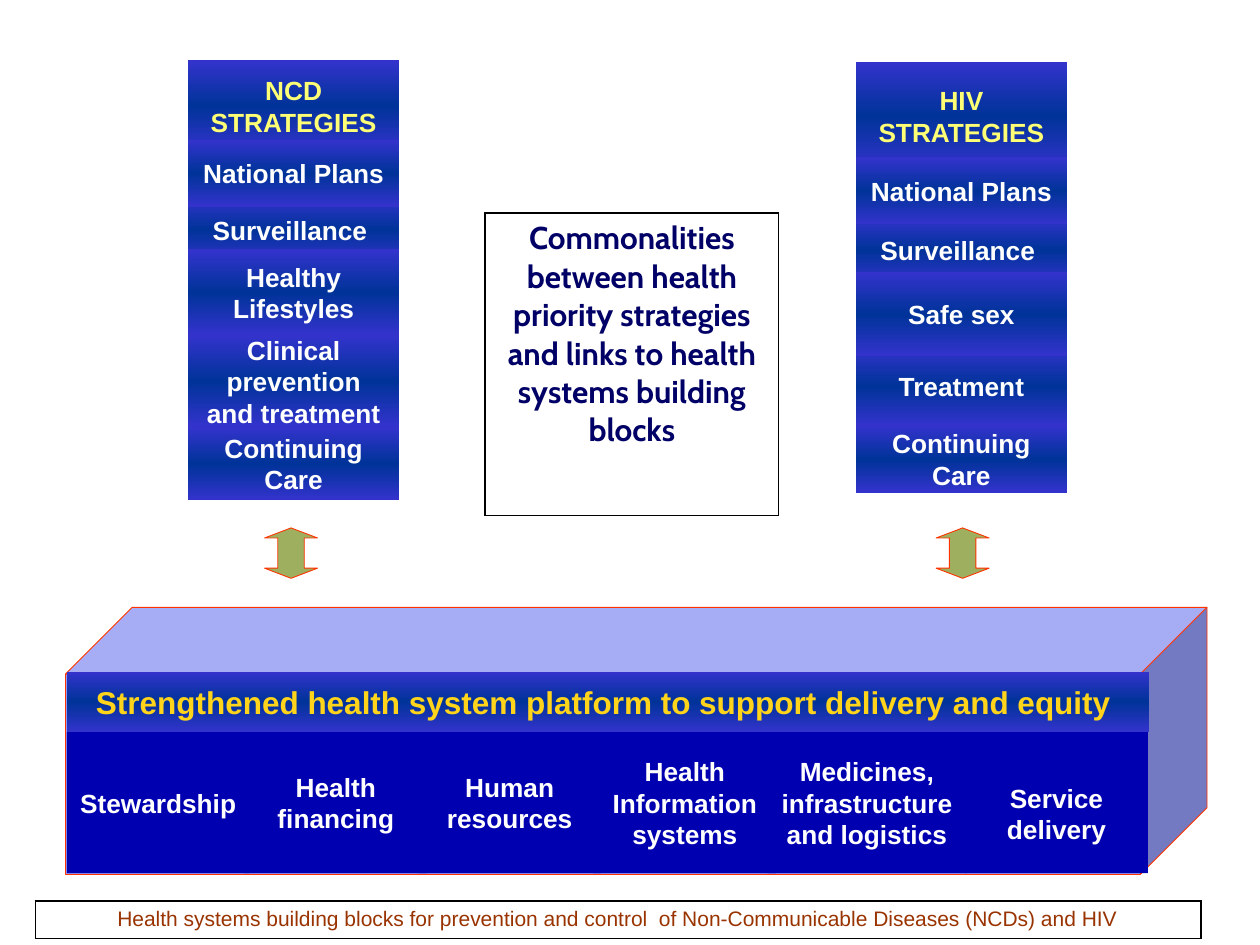
from copy import deepcopy

from lxml import etree
from pptx import Presentation
from pptx.dml.color import RGBColor
from pptx.enum.shapes import MSO_SHAPE
from pptx.enum.text import MSO_ANCHOR, PP_ALIGN
from pptx.oxml.ns import qn
from pptx.util import Inches, Pt

RECT, CUBE, ARROW = MSO_SHAPE.RECTANGLE, MSO_SHAPE.CUBE, MSO_SHAPE.UP_DOWN_ARROW
MIDDLE, CENTER = MSO_ANCHOR.MIDDLE, PP_ALIGN.CENTER

COLORS = {
    "edge": "3333CC", "core": "003399", "block": "0000B0", "cube": "9299F2",
    "arrow": "9EB060", "line": "FF3300", "white": "FFFFFF", "head": "FFFF75",
    "gold": "FFD41B", "navy": "000066", "brown": "993300", "black": "000000",
}

NCD = [
    ("Surveillance ", 1.56, 0.53),
    ("NCD STRATEGIES", 0.48, 0.72),
    ("Clinical prevention and treatment", 2.66, 0.73),
    ("Healthy Lifestyles", 1.98, 0.68),
    ("Continuing Care", 3.39, 0.58),
    ("National Plans ", 1.11, 0.53),
]
HIV = [
    ("Surveillance ", 1.72, 0.53),
    ("HIV STRATEGIES", 0.49, 0.86),
    ("Treatment", 2.75, 0.63),
    ("Safe sex", 2.16, 0.67),
    ("Continuing Care", 3.38, 0.53),
    ("National Plans ", 1.25, 0.53),
]
BLOCKS = [
    ("Stewardship", 0.53, 1.45, 0.05),
    ("Health financing", 1.94, 1.45, 0.05),
    ("Human resources", 3.32, 1.45, 0.05),
    ("Medicines, infrastructure and logistics", 6.09, 1.58, 0.05),
    ("Health Information systems", 4.71, 1.45, 0.05),
    ("Service delivery", 7.66, 1.45, 0.22),
]


def rgb(name):
    return RGBColor.from_string(COLORS[name])


def write(frame, text, size=15, color="white", bold=True, face="Arial"):
    frame.word_wrap = True
    para = frame.paragraphs[0]
    para.alignment = CENTER
    run = para.add_run()
    run.text = text
    font = run.font
    font.name, font.size, font.bold = face, Pt(size), bold
    font.color.rgb = rgb(color)


class Page:
    def __init__(self, slide):
        self.slide = slide

    def shape(self, kind, left, top, width, height, fill=None, line=None):
        shape = self.slide.shapes.add_shape(
            kind, Inches(left), Inches(top), Inches(width), Inches(height))
        shape.shadow.inherit = False
        if fill:
            shape.fill.solid()
            shape.fill.fore_color.rgb = rgb(fill)
        else:
            self.blend(shape)
        if line:
            shape.line.color.rgb = rgb(line)
            shape.line.width = Pt(0.5)
        else:
            shape.line.fill.background()
        return shape

    def blend(self, shape):
        shape.fill.gradient()
        shape.fill.gradient_angle = 270
        for stop, name, place in zip(
                shape.fill.gradient_stops, ("edge", "core"), (0, 0.5)):
            stop.color.rgb = rgb(name)
            stop.position = place
        stops = shape._element.spPr.find(".//" + qn("a:gsLst"))
        last = deepcopy(stops[0])
        last.set("pos", "100000")
        stops.append(last)

    def box(self, text, left, top, width, height, fill=None, inset=0.05, **style):
        frame = self.shape(RECT, left, top, width, height, fill).text_frame
        frame.vertical_anchor = MIDDLE
        frame.margin_top = Inches(inset)
        write(frame, text, **style)

    def stack(self, left, items):
        for text, top, height in items:
            color = "head" if text.endswith("STRATEGIES") else "white"
            self.box(text, left, top, 1.68, height, color=color)

    def arrow(self, left):
        shape = self.shape(ARROW, left, 4.19, 0.42, 0.4, "arrow", "line")
        guides = shape._element.spPr.find(".//" + qn("a:avLst"))
        for guide in list(guides):
            guides.remove(guide)
        for name, value in (("adj1", 50000), ("adj2", 20000)):
            etree.SubElement(guides, qn("a:gd"), name=name, fmla=f"val {value}")

    def table(self, text, left, top, width, height, **style):
        table = self.slide.shapes.add_table(
            1, 1, Inches(left), Inches(top), Inches(width), Inches(height)).table
        table.first_row = table.horz_banding = False
        cell = table.cell(0, 0)
        props = cell._tc.get_or_add_tcPr()
        for side in ("lnL", "lnR", "lnT", "lnB"):
            line = etree.SubElement(props, qn("a:" + side), w=str(Pt(1)))
            fill = etree.SubElement(line, qn("a:solidFill"))
            etree.SubElement(fill, qn("a:srgbClr"), val=COLORS["black"])
        cell.fill.background()
        write(cell.text_frame, text, **style)


def main():
    deck = Presentation()
    deck.slide_width, deck.slide_height = Inches(10), Inches(7.5)
    page = Page(deck.slides.add_slide(deck.slide_layouts[6]))

    page.shape(CUBE, 0.52, 4.82, 9.06, 2.12, "cube", "line")
    page.box("Strengthened health system platform to support delivery and equity ",
             0.53, 5.33, 8.59, 0.48, size=18, color="gold")
    for text, left, width, inset in BLOCKS:
        page.box(text, left, 5.81, width, 1.12, "block", inset)

    page.arrow(2.1)
    page.stack(1.49, NCD)
    page.arrow(7.43)
    page.stack(6.79, HIV)

    page.table("Commonalities between health priority strategies and links to "
               "health systems building blocks",
               3.85, 1.69, 2.33, 2.4, size=18, color="navy", face="Cabin")
    page.table("Health systems building blocks for prevention and control  of "
               "Non-Communicable Diseases (NCDs) and HIV",
               0.28, 7.15, 9.25, 0.3, size=12, color="brown", bold=False)
    deck.save("out.pptx")


if __name__ == "__main__":
    main()
